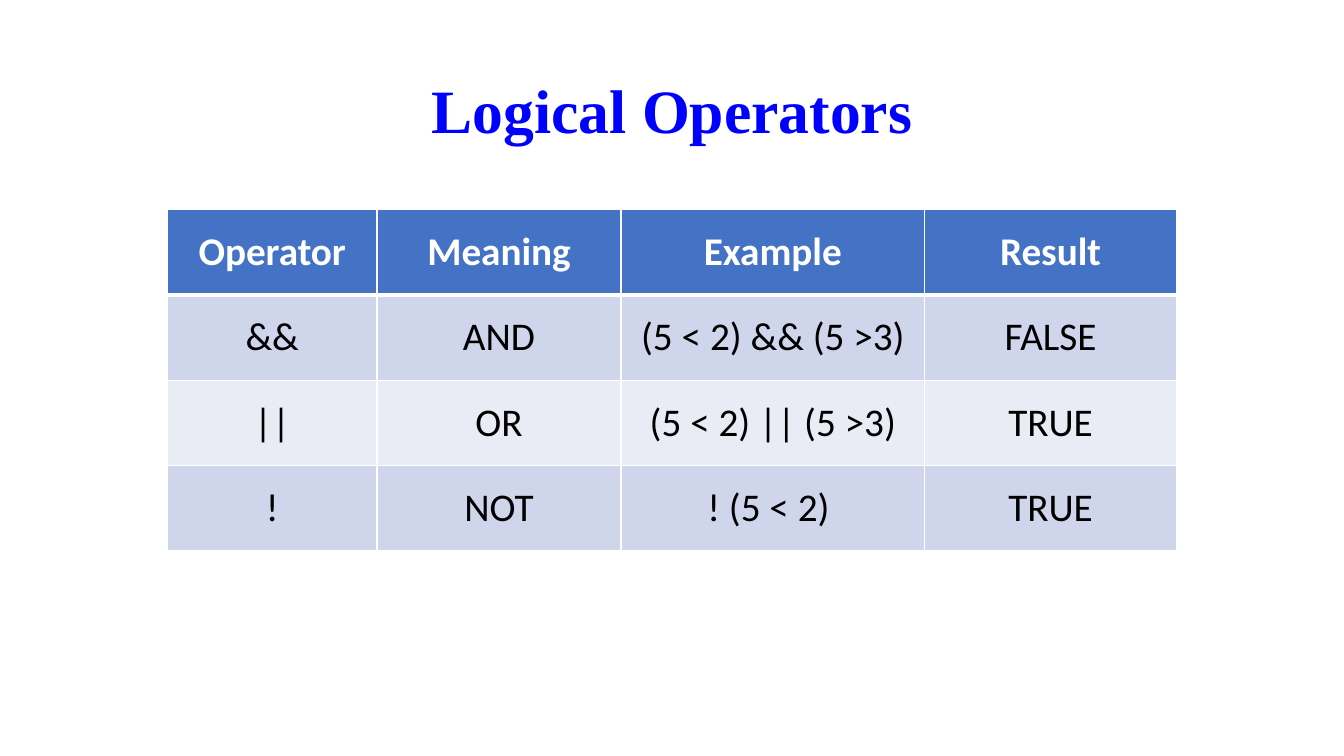
from dataclasses import astuple, dataclass

import pptx
import pptx.dml.color
import pptx.enum.text
import pptx.oxml.ns
import pptx.oxml.xmlchemy
import pptx.util
from lxml import etree
from pptx.util import Cm

RGBColor = pptx.dml.color.RGBColor
WHITE = RGBColor(0xFF, 0xFF, 0xFF)
BLACK = RGBColor(0x00, 0x00, 0x00)
TITLE_BLUE = RGBColor(0x00, 0x00, 0xFF)
HEADER_BLUE = RGBColor(0x44, 0x72, 0xC4)
BAND_DARK = RGBColor(0xCF, 0xD5, 0xEA)
BAND_LIGHT = RGBColor(0xE9, 0xEB, 0xF5)

TITLE_FONT = {"name": "Times New Roman", "size": pptx.util.Pt(44), "bold": True}
HEADER_FONT = {"name": "Calibri", "size": pptx.util.Pt(28), "bold": True}
BODY_FONT = HEADER_FONT | {"bold": False}

COLUMN_WIDTHS = [Cm(5.28), Cm(6.15), Cm(7.65), Cm(6.35)]
ROW_HEIGHT = Cm(2.15)
THIN, THICK = pptx.util.Pt(1), pptx.util.Pt(3)


@dataclass
class OperatorRow:
    operator: str
    meaning: str
    example: str
    result: str


OPERATOR_ROWS = [
    OperatorRow("Operator", "Meaning", "Example", "Result"),
    OperatorRow("&&", "AND", "(5 < 2) && (5 >3)", "FALSE"),
    OperatorRow("||", "OR", "(5 < 2) || (5 >3)", "TRUE"),
    OperatorRow("!", "NOT", "! (5 < 2) ", "TRUE"),
]


def write_centred(frame: pptx.text.text.TextFrame, text: str,
                  font_format: dict, color: RGBColor) -> None:
    paragraph = frame.paragraphs[0]
    paragraph.alignment = pptx.enum.text.PP_ALIGN.CENTER
    run = paragraph.add_run()
    run.text = text
    for attribute, value in font_format.items():
        setattr(run.font, attribute, value)
    run.font.color.rgb = color


def add_borders(cell: pptx.table._Cell, top: int, bottom: int) -> None:
    """Draw white cell borders; the side borders are thin."""
    properties = cell._tc.get_or_add_tcPr()
    widths = {"a:lnL": THIN, "a:lnR": THIN, "a:lnT": top, "a:lnB": bottom}
    qn = pptx.oxml.ns.qn
    for tag, width in widths.items():
        line = etree.SubElement(properties, qn(tag), w=str(int(width)))
        fill = etree.SubElement(line, qn("a:solidFill"))
        etree.SubElement(fill, qn("a:srgbClr"), val=str(WHITE))


def add_title(slide: pptx.slide.Slide) -> None:
    title = slide.shapes.add_textbox(Cm(2.34), Cm(1.02), Cm(29.21), Cm(3.68))
    frame = title.text_frame
    frame.word_wrap = True
    frame.vertical_anchor = pptx.enum.text.MSO_ANCHOR.MIDDLE
    write_centred(frame, "Logical Operators", TITLE_FONT, TITLE_BLUE)
    frame.paragraphs[0].line_spacing = 0.9


def add_operator_table(slide: pptx.slide.Slide) -> None:
    row_count = len(OPERATOR_ROWS)
    table = slide.shapes.add_table(
        row_count, len(COLUMN_WIDTHS), Cm(4.22), Cm(5.28),
        sum(COLUMN_WIDTHS), ROW_HEIGHT * row_count).table
    for column, width in zip(table.columns, COLUMN_WIDTHS):
        column.width = width

    for index, (row, content) in enumerate(zip(table.rows, OPERATOR_ROWS)):
        row.height = ROW_HEIGHT
        is_header = index == 0
        band = BAND_DARK if index % 2 else BAND_LIGHT
        for cell, text in zip(row.cells, astuple(content)):
            add_borders(cell, top=THICK if index == 1 else THIN,
                        bottom=THICK if is_header else THIN)
            cell.fill.solid()
            cell.fill.fore_color.rgb = HEADER_BLUE if is_header else band
            cell.vertical_anchor = pptx.enum.text.MSO_ANCHOR.MIDDLE
            write_centred(cell.text_frame, text,
                          HEADER_FONT if is_header else BODY_FONT,
                          WHITE if is_header else BLACK)


def main() -> None:
    presentation = pptx.Presentation()
    presentation.slide_width = Cm(33.87)
    presentation.slide_height = Cm(19.05)
    slide = presentation.slides.add_slide(presentation.slide_layouts[6])
    add_title(slide)
    add_operator_table(slide)
    presentation.save("out.pptx")


if __name__ == "__main__":
    main()
